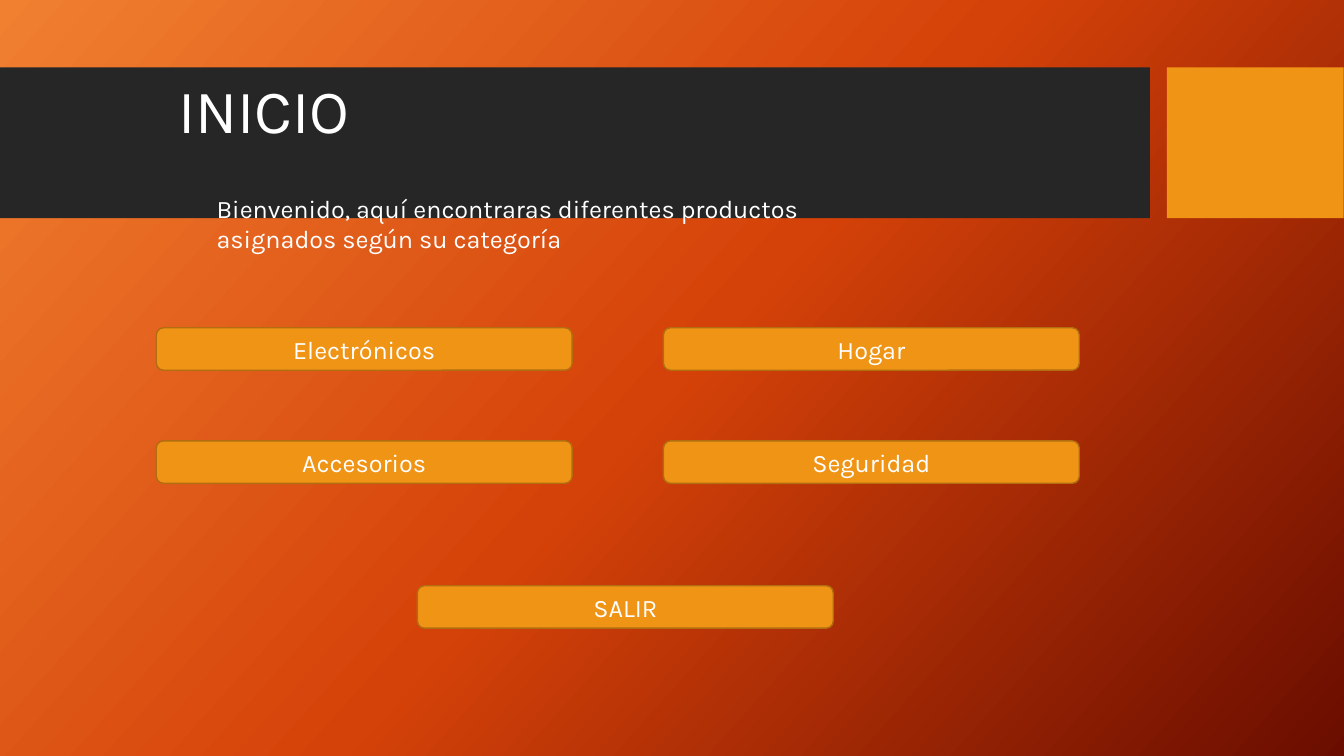
from copy import deepcopy
from dataclasses import dataclass

from pptx import Presentation
from pptx import util as u
from pptx.dml.color import RGBColor
from pptx.enum import shapes, text


@dataclass(frozen=True)
class Theme:
    font: str = "Karla"
    title_size: int = 44
    body_size: int = 18
    ink: str = "FFFFFF"
    band: str = "262626"
    accent: str = "F09415"
    outline: str = "B26D10"
    gradient: tuple = ((0, "F18031"), (0.5, "D54209"), (1, "6A0D00"))
    gradient_angle: int = 318  # counter-clockwise


def write(frame, content, *, theme, size, align=text.PP_ALIGN.LEFT,
          anchor=text.MSO_ANCHOR.TOP, line_spacing=None):
    frame.word_wrap = True
    frame.vertical_anchor = anchor
    paragraph = frame.paragraphs[0]
    paragraph.alignment = align
    paragraph.line_spacing = line_spacing
    run = paragraph.add_run()
    run.text = content
    run.font.name = theme.font
    run.font.size = u.Pt(size)
    run.font.color.rgb = RGBColor.from_string(theme.ink)


class SlideBuilder:
    def __init__(self, slide, theme):
        self.slide = slide
        self.theme = theme

    def background(self):
        fill = self.slide.background.fill
        fill.gradient()
        fill.gradient_angle = self.theme.gradient_angle
        # The default gradient has two stops; add the middle one
        first_stop = self.slide.element.xpath(".//p:bg//a:gs")[0]
        first_stop.addnext(deepcopy(first_stop))
        for stop, (position, color) in zip(fill.gradient_stops, self.theme.gradient):
            stop.position = position
            stop.color.rgb = RGBColor.from_string(color)

    def block(self, left, top, width, height, color,
              kind=shapes.MSO_SHAPE.RECTANGLE, outline=None):
        shape = self.slide.shapes.add_shape(
            kind, u.Cm(left), u.Cm(top), u.Cm(width), u.Cm(height))
        shape.shadow.inherit = False
        shape.fill.solid()
        shape.fill.fore_color.rgb = RGBColor.from_string(color)
        if outline:
            shape.line.color.rgb = RGBColor.from_string(outline)
            shape.line.width = u.Pt(1)
        else:
            shape.line.fill.background()
        return shape

    def title(self, content, left, top, width, height):
        title = self.slide.shapes.title
        title.left, title.top = u.Cm(left), u.Cm(top)
        title.width, title.height = u.Cm(width), u.Cm(height)
        # Bring the title in front of the header band
        title.element.getparent().append(title.element)
        write(title.text_frame, content, theme=self.theme,
              size=self.theme.title_size, anchor=text.MSO_ANCHOR.MIDDLE,
              line_spacing=0.9)

    def label(self, content, left, top, width, height):
        box = self.slide.shapes.add_textbox(
            u.Cm(left), u.Cm(top), u.Cm(width), u.Cm(height))
        write(box.text_frame, content, theme=self.theme, size=self.theme.body_size)
        box.text_frame.auto_size = text.MSO_AUTO_SIZE.SHAPE_TO_FIT_TEXT

    def button(self, content, left, top, width=10.48, height=1.07):
        shape = self.block(left, top, width, height, self.theme.accent,
                           shapes.MSO_SHAPE.ROUNDED_RECTANGLE, self.theme.outline)
        write(shape.text_frame, content, theme=self.theme,
              size=self.theme.body_size, align=text.PP_ALIGN.CENTER,
              anchor=text.MSO_ANCHOR.MIDDLE)


def main():
    presentation = Presentation()
    presentation.slide_width = u.Cm(33.87)
    presentation.slide_height = u.Cm(19.05)
    theme = Theme()
    slide = presentation.slides.add_slide(presentation.slide_layouts.get_by_name("Title Only"))
    builder = SlideBuilder(slide, theme)

    # Background and header
    builder.background()
    builder.block(0, 1.7, 28.98, 3.8, theme.band)
    builder.block(29.41, 1.7, 4.45, 3.8, theme.accent)
    builder.title("INICIO", 4.24, 1.37, 6.2, 3)
    builder.label("Bienvenido, aquí encontraras diferentes productos "
                  "asignados según su categoría", 5.21, 4.75, 16.76, 1.8)

    # Category buttons, column by column
    categories = (("Electrónicos", "Accesorios"), ("Hogar", "Seguridad"))
    for column, names in enumerate(categories):
        for row, name in enumerate(names):
            builder.button(name, 3.94 + 12.78 * column, 8.26 + 2.85 * row)

    # Exit button
    builder.button("SALIR", 10.52, 14.76)

    presentation.save("out.pptx")


if __name__ == "__main__":
    main()
